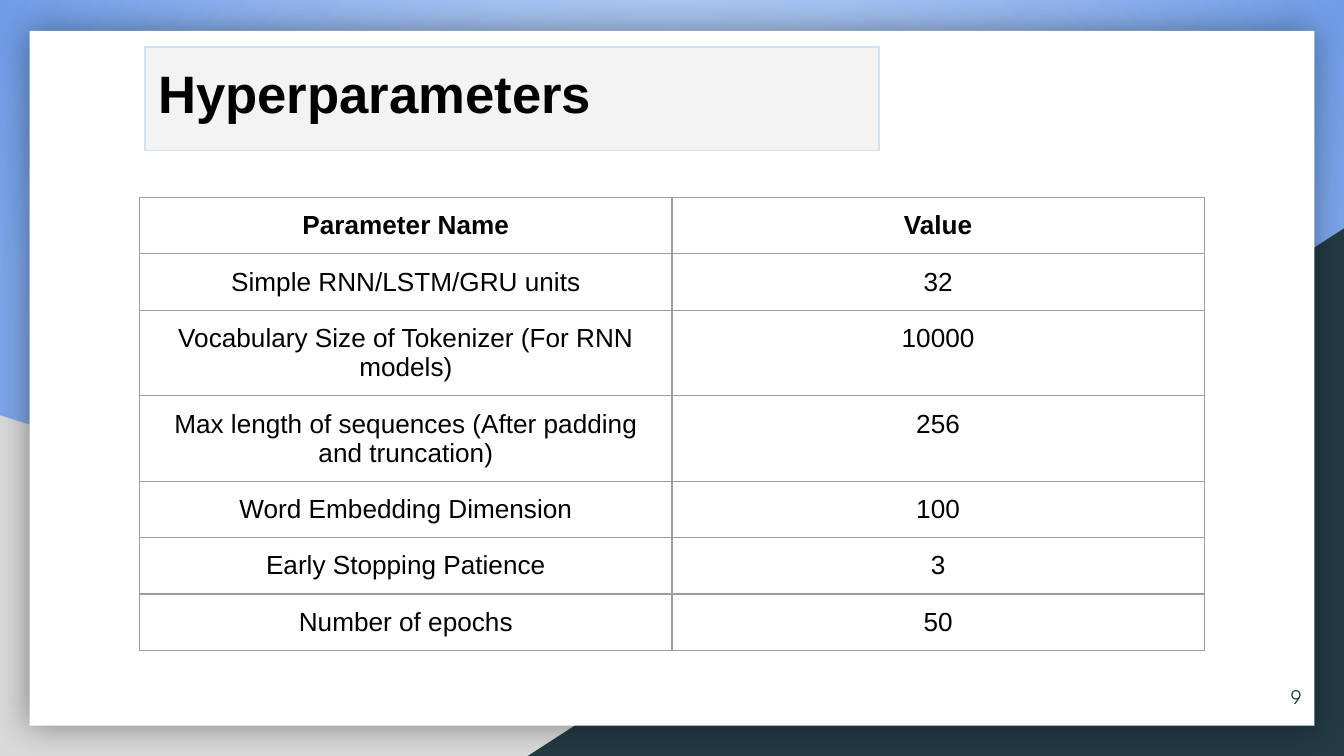
from dataclasses import dataclass

from lxml import etree
from pptx import Presentation
from pptx.dml.color import RGBColor
from pptx.enum.shapes import MSO_SHAPE
from pptx.enum.text import MSO_ANCHOR, PP_ALIGN
from pptx.oxml.ns import qn
from pptx.util import Inches, Pt

RECTANGLE, TRIANGLE = MSO_SHAPE.RECTANGLE, MSO_SHAPE.RIGHT_TRIANGLE
TOP, MIDDLE = MSO_ANCHOR.TOP, MSO_ANCHOR.MIDDLE
LEFT, CENTER, RIGHT = PP_ALIGN.LEFT, PP_ALIGN.CENTER, PP_ALIGN.RIGHT


@dataclass(frozen=True)
class Theme:
    glow: str = "DFEAFB"
    sky: str = "6E9CE7"
    silver: str = "D9D9D9"
    navy: str = "233A44"
    white: str = "FFFFFF"
    black: str = "000000"
    title_fill: str = "F3F3F3"
    title_line: str = "CFE2F3"
    grid: str = "9E9E9E"
    body_font: str = "Arial"
    number_font: str = "TeX Gyre Adventor"
    title_size: float = 28.2
    table_size: float = 14
    number_size: float = 10
    line_width: float = 0.75
    inset: float = 0.1


def add_xml(parent, tag, **attributes):
    return etree.SubElement(parent, qn(tag), attributes)


class SlideBuilder:
    def __init__(self, slide, theme):
        self.slide = slide
        self.theme = theme

    def radial_background(self):
        fill = self.slide.background.fill
        fill.gradient()
        for stop, color in zip(fill.gradient_stops, (self.theme.glow, self.theme.sky)):
            stop.color.rgb = RGBColor.from_string(color)
        gradient = next(self.slide.element.iter(qn("a:gradFill")))
        gradient.remove(gradient.find(qn("a:lin")))
        circle = add_xml(gradient, "a:path", path="circle")
        add_xml(circle, "a:fillToRect", l="50000", t="50000", r="50000", b="50000")

    def shape(self, kind, box, fill, line=None, flip=False):
        shape = self.slide.shapes.add_shape(kind, *map(Inches, box))
        shape.shadow.inherit = False
        shape.fill.solid()
        shape.fill.fore_color.rgb = RGBColor.from_string(fill)
        if line:
            shape.line.color.rgb = RGBColor.from_string(line)
            shape.line.width = Pt(self.theme.line_width)
        else:
            shape.line.fill.background()
        if flip:
            shape.element.spPr.find(qn("a:xfrm")).set("flipH", "1")
        return shape

    def soft_shadow(self, shape, blur, opacity):
        effects = shape.element.spPr.find(qn("a:effectLst"))
        shadow = add_xml(effects, "a:outerShdw", blurRad=str(Pt(blur)), dist="0",
                         dir="0", algn="ctr", rotWithShape="0")
        color = add_xml(shadow, "a:srgbClr", val=self.theme.black)
        add_xml(color, "a:alpha", val=str(opacity * 1000))

    def text(self, frame, words, size, font, color, align, bold=False):
        frame.word_wrap = True
        paragraph = frame.paragraphs[0]
        paragraph.text = words
        paragraph.alignment = align
        paragraph.font.size = Pt(size)
        paragraph.font.name = font
        paragraph.font.bold = bold
        paragraph.font.color.rgb = RGBColor.from_string(color)

    def margins(self, holder, anchor):
        holder.margin_left = holder.margin_right = Inches(self.theme.inset)
        holder.margin_top = holder.margin_bottom = Inches(self.theme.inset)
        holder.vertical_anchor = anchor

    def title(self, words, box):
        theme = self.theme
        frame = self.shape(RECTANGLE, box, theme.title_fill, theme.title_line).text_frame
        self.margins(frame, TOP)
        self.text(frame, words, theme.title_size, theme.body_font, theme.black, LEFT, True)

    def page_number(self, number, box):
        theme = self.theme
        frame = self.slide.shapes.add_textbox(*map(Inches, box)).text_frame
        self.margins(frame, MIDDLE)
        self.text(frame, number, theme.number_size, theme.number_font, theme.navy, RIGHT)

    def borders(self, cell):
        properties = cell._tc.get_or_add_tcPr()
        for position, side in enumerate(("a:lnL", "a:lnR", "a:lnT", "a:lnB")):
            line = add_xml(properties, side, w=str(Pt(self.theme.line_width)))
            add_xml(add_xml(line, "a:solidFill"), "a:srgbClr", val=self.theme.grid)
            properties.insert(position, line)

    def table(self, rows, left, top, column_width, row_height):
        theme = self.theme
        columns = len(rows[0])
        table = self.slide.shapes.add_table(
            len(rows), columns, Inches(left), Inches(top),
            Inches(column_width * columns), Inches(row_height * len(rows))).table
        table.horz_banding = False
        for row_index, row in enumerate(rows):
            for column_index, words in enumerate(row):
                cell = table.cell(row_index, column_index)
                cell.fill.background()
                self.borders(cell)
                self.margins(cell, TOP)
                self.text(cell.text_frame, words, theme.table_size, theme.body_font,
                          theme.black, CENTER, row_index == 0)


HYPERPARAMETERS = [
    ("Parameter Name", "Value"),
    ("Simple RNN/LSTM/GRU units", "32"),
    ("Vocabulary Size of Tokenizer (For RNN models)", "10000"),
    ("Max length of sequences (After padding and truncation)", "256"),
    ("Word Embedding Dimension", "100"),
    ("Early Stopping Patience", "3"),
    ("Number of epochs", "50"),
]


def main():
    presentation = Presentation()
    # A 16:9 slide
    presentation.slide_width = Inches(10)
    presentation.slide_height = Inches(10 * 9 / 16)
    theme = Theme()
    builder = SlideBuilder(
        presentation.slides.add_slide(presentation.slide_layouts[6]), theme)

    # Backdrop: radial sky, two corner triangles and the white page
    builder.radial_background()
    builder.shape(TRIANGLE, (0, 3.09, 8.06, 2.54), theme.silver)
    builder.shape(TRIANGLE, (3.92, 1.7, 6.08, 3.93), theme.navy, flip=True)
    page = builder.shape(RECTANGLE, (0.22, 0.23, 9.56, 5.17), theme.white)
    builder.soft_shadow(page, blur=18, opacity=40)

    # Content
    builder.title("Hyperparameters", (1.08, 0.35, 5.46, 0.77))
    builder.table(HYPERPARAMETERS, left=1.04, top=1.47, column_width=3.96, row_height=0.41)
    builder.page_number("9", (9.18, 4.97, 0.6, 0.43))

    presentation.save("out.pptx")


if __name__ == "__main__":
    main()
